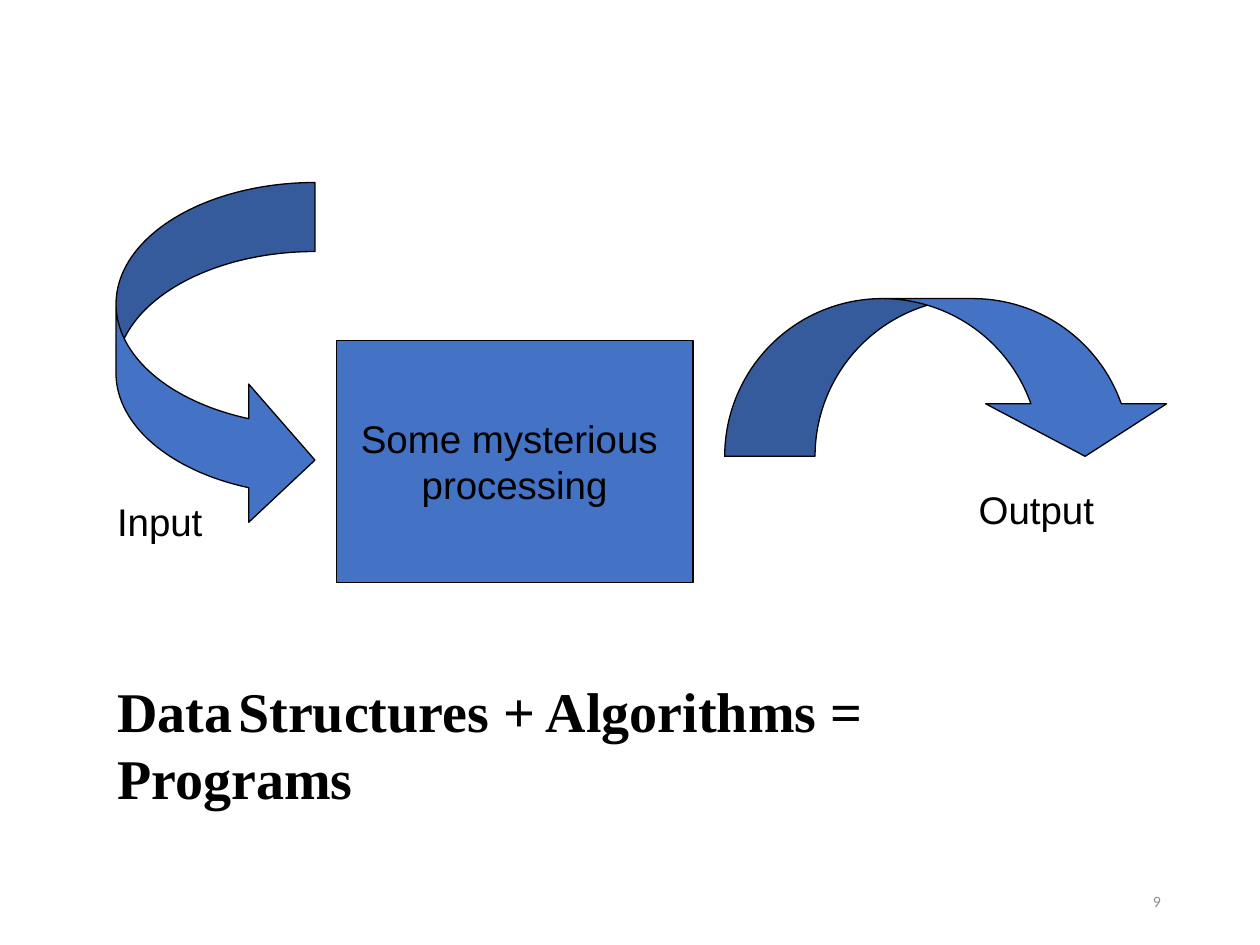
import pptx
import pptx.util
import pptx.dml.color
import pptx.enum.shapes
import pptx.enum.text

Cm = pptx.util.Cm
ALIGN = pptx.enum.text.PP_ALIGN
ANCHOR = pptx.enum.text.MSO_ANCHOR
AUTO_SIZE = pptx.enum.text.MSO_AUTO_SIZE
SHAPE = pptx.enum.shapes.MSO_SHAPE
BLACK = "000000"
BLUE = "4472C4"
GREY = "8C8C8C"


def color(value):
    """Turn a hex string into a colour."""
    return pptx.dml.color.RGBColor.from_string(value)


def format_run(run, size, font_name, font_color=BLACK, bold=False):
    """Set the font of one run."""
    run.font.size = pptx.util.Pt(size)
    run.font.name = font_name
    run.font.bold = bold
    run.font.color.rgb = color(font_color)


def write(shape, text, size=22, font_name="Arial", font_color=BLACK,
          align=ALIGN.LEFT, wrap=False):
    """Fill a shape with evenly formatted text."""
    frame = shape.text_frame
    frame.text = text
    frame.word_wrap = wrap
    for paragraph in frame.paragraphs:
        paragraph.alignment = align
        for run in paragraph.runs:
            format_run(run, size, font_name, font_color)


def add_block(slide, kind, left, top, width, height, adjustments=()):
    """Add a blue preset shape with a thin black outline."""
    shape = slide.shapes.add_shape(kind, Cm(left), Cm(top), Cm(width), Cm(height))
    shape.shadow.inherit = False
    shape.fill.solid()
    shape.fill.fore_color.rgb = color(BLUE)
    shape.line.color.rgb = color(BLACK)
    shape.line.width = pptx.util.Pt(0.75)
    for index, value in enumerate(adjustments):
        shape.adjustments[index] = value
    return shape


def add_label(slide, text, left, top, width):
    """Add a one-line label that fits its text."""
    label = slide.shapes.add_textbox(Cm(left), Cm(top), Cm(width), Cm(1.19))
    write(label, text)
    label.text_frame.auto_size = AUTO_SIZE.SHAPE_TO_FIT_TEXT


def add_process_diagram(slide, left, top):
    """Draw input, processing and output from the given corner."""
    add_block(slide, SHAPE.CURVED_RIGHT_ARROW, left + 0.23, top, 4.01, 6.99,
              (0.347, 0.695, 0.333))
    add_label(slide, "Input", left, top + 6.23, 2.24)
    process = add_block(slide, SHAPE.RECTANGLE, left + 4.67, top + 3.18, 7.19, 4.88)
    write(process, "Some mysterious \nprocessing", align=ALIGN.CENTER)
    process.text_frame.vertical_anchor = ANCHOR.MIDDLE
    add_block(slide, SHAPE.CURVED_DOWN_ARROW, left + 12.5, top + 2.34, 9.09, 3.18,
              (0.573, 1.147, 0.333))
    add_label(slide, "Output", left + 17.37, top + 6, 2.84)


def place_title(slide, left, top, width, height):
    """Move the title placeholder and write the formula in it."""
    title = slide.shapes.title
    title.left, title.top = Cm(left), Cm(top)
    title.width, title.height = Cm(width), Cm(height)
    frame = title.text_frame
    frame.word_wrap = True
    frame.auto_size = AUTO_SIZE.NONE
    frame.vertical_anchor = ANCHOR.TOP
    paragraph = frame.paragraphs[0]
    paragraph.alignment = ALIGN.LEFT
    for text, size, font_name, bold in (
        ("Data", 32, "Times New Roman", True),
        (" ", 12, "Arial", False),
        ("Structures + Algorithms = Programs", 32, "Times New Roman", True),
    ):
        run = paragraph.add_run()
        run.text = text
        format_run(run, size, font_name, bold=bold)


def add_page_number(slide, left, top, width, height):
    """Write the page number at the right of its box."""
    number = slide.shapes.add_textbox(Cm(left), Cm(top), Cm(width), Cm(height))
    write(number, "9", 9, "Calibri", GREY, ALIGN.RIGHT, wrap=True)
    number.text_frame.vertical_anchor = ANCHOR.MIDDLE


def main():
    """Build and save the slide."""
    presentation = pptx.Presentation()
    presentation.slide_width = Cm(25.4)
    presentation.slide_height = Cm(19.05)
    slide = presentation.slides.add_slide(presentation.slide_layouts[5])
    add_process_diagram(slide, 2.11, 3.68)
    place_title(slide, 2.11, 13.51, 20, 1.63)
    add_page_number(slide, 17.93, 17.65, 5.72, 1.02)
    presentation.save("out.pptx")


if __name__ == "__main__":
    main()
